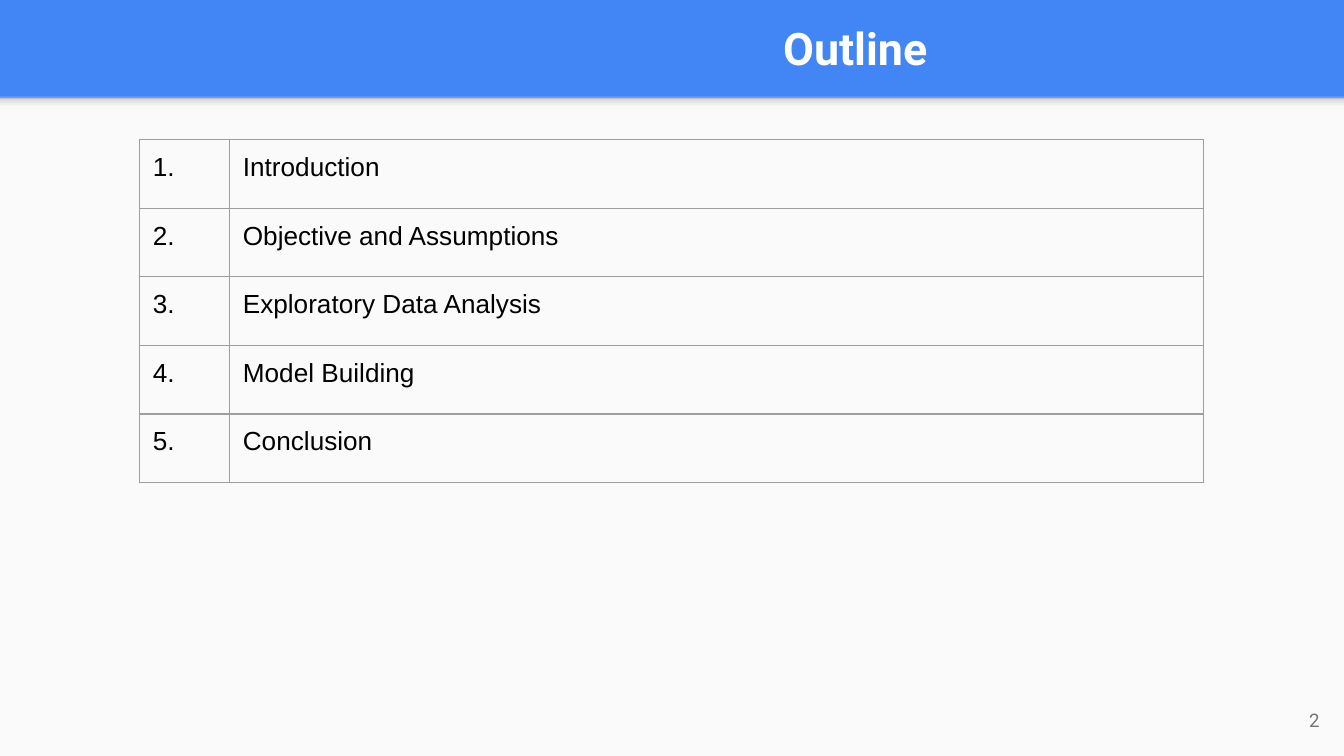
from lxml import etree
from pptx import Presentation
from pptx.dml.color import RGBColor
from pptx.enum import shapes, text
from pptx.oxml import parse_xml
from pptx.oxml.ns import nsdecls, qn
from pptx.util import Cm, Pt

WIDTH, HEIGHT = 25.4, 14.29
BANNER_HEIGHT = 1.83
INSET = Cm(0.25)
TOPICS = [
    "Introduction",
    "Objective and Assumptions",
    "Exploratory Data Analysis",
    "Model Building",
    "Conclusion",
]


def color(value):
    return RGBColor.from_string(value)


def set_font(paragraph, name, size, value, bold=False):
    font = paragraph.font
    font.name, font.size, font.bold = name, Pt(size), bold
    font.color.rgb = color(value)


def set_insets(frame):
    frame.margin_left = frame.margin_right = INSET
    frame.margin_top = frame.margin_bottom = INSET


def add_panel(slide, left, top, width, height, value):
    panel = slide.shapes.add_shape(
        shapes.MSO_SHAPE.RECTANGLE, Cm(left), Cm(top), Cm(width), Cm(height))
    panel.shadow.inherit = False
    panel.line.fill.background()
    panel.fill.solid()
    panel.fill.fore_color.rgb = color(value)
    return panel


def shade_upward(shape, stops):
    """Fill the shape with a gradient running from its bottom to its top."""
    gradient = parse_xml(f'<a:gradFill {nsdecls("a")} rotWithShape="1"><a:gsLst/>'
                         '<a:lin ang="16200000" scaled="0"/></a:gradFill>')
    for percent, value in stops:
        stop = etree.SubElement(gradient[0], qn("a:gs"), pos=str(percent * 1000))
        etree.SubElement(stop, qn("a:srgbClr"), val=value)
    properties = shape.element.spPr
    properties.replace(properties.find(qn("a:solidFill")), gradient)


def add_body(slide, left, top, width, height):
    add_panel(slide, left, top, width, height, "FAFAFA")
    shadow = add_panel(slide, left, top, width, 0.3, "F9F9F9")
    shade_upward(shadow, [(0, "F9F9F9"), (36, "F9F9F9"), (80, "DEDEDE"), (100, "999999")])


def place_title(slide, left, top, width, height, words):
    title = slide.shapes.title
    title.left, title.top, title.width, title.height = map(Cm, (left, top, width, height))
    frame = title.text_frame
    frame.text = words
    set_insets(frame)
    frame.margin_left = Cm(14.3)
    frame.vertical_anchor = text.MSO_ANCHOR.MIDDLE
    paragraph = frame.paragraphs[0]
    paragraph.alignment = text.PP_ALIGN.LEFT
    set_font(paragraph, "Roboto", 24, "FFFFFF", bold=True)


def format_cell(cell, words):
    cell.text = words
    set_insets(cell)
    set_font(cell.text_frame.paragraphs[0], "Arial", 14, "000000")
    properties = cell._tc.get_or_add_tcPr()
    for side in ("lnL", "lnR", "lnT", "lnB"):
        border = etree.SubElement(properties, qn(f"a:{side}"), w=str(Pt(0.75)))
        fill = etree.SubElement(border, qn("a:solidFill"))
        etree.SubElement(fill, qn("a:srgbClr"), val="9E9E9E")
    cell.fill.background()


def add_outline(slide, left, top, width, height, topics):
    number_width = 1.7
    table = slide.shapes.add_table(
        len(topics), 2, Cm(left), Cm(top), Cm(width), Cm(height)).table
    table.first_row = table.horz_banding = False
    table.columns[0].width = Cm(number_width)
    table.columns[1].width = Cm(width - number_width)
    for row, topic in enumerate(topics):
        format_cell(table.cell(row, 0), f"{row + 1}.")
        format_cell(table.cell(row, 1), topic)


def add_page_number(slide, left, top, width, height, number):
    box = slide.shapes.add_textbox(Cm(left), Cm(top), Cm(width), Cm(height))
    frame = box.text_frame
    frame.word_wrap = True
    frame.text = str(number)
    set_insets(frame)
    frame.vertical_anchor = text.MSO_ANCHOR.MIDDLE
    paragraph = frame.paragraphs[0]
    paragraph.alignment = text.PP_ALIGN.RIGHT
    set_font(paragraph, "Roboto", 10, "737373")


def main():
    presentation = Presentation()
    presentation.slide_width, presentation.slide_height = Cm(WIDTH), Cm(HEIGHT)
    slide = presentation.slides.add_slide(presentation.slide_layouts[5])
    slide.background.fill.solid()
    slide.background.fill.fore_color.rgb = color("4285F4")
    add_body(slide, 0, BANNER_HEIGHT, WIDTH, HEIGHT - BANNER_HEIGHT)
    place_title(slide, 0.5, 0.05, 24.28, 1.68, "Outline")
    add_outline(slide, 2.64, 2.64, 20.1, 6.48, TOPICS)
    add_page_number(slide, 23.67, 13.06, 1.52, 1.09, 2)
    presentation.save("out.pptx")


if __name__ == "__main__":
    main()
